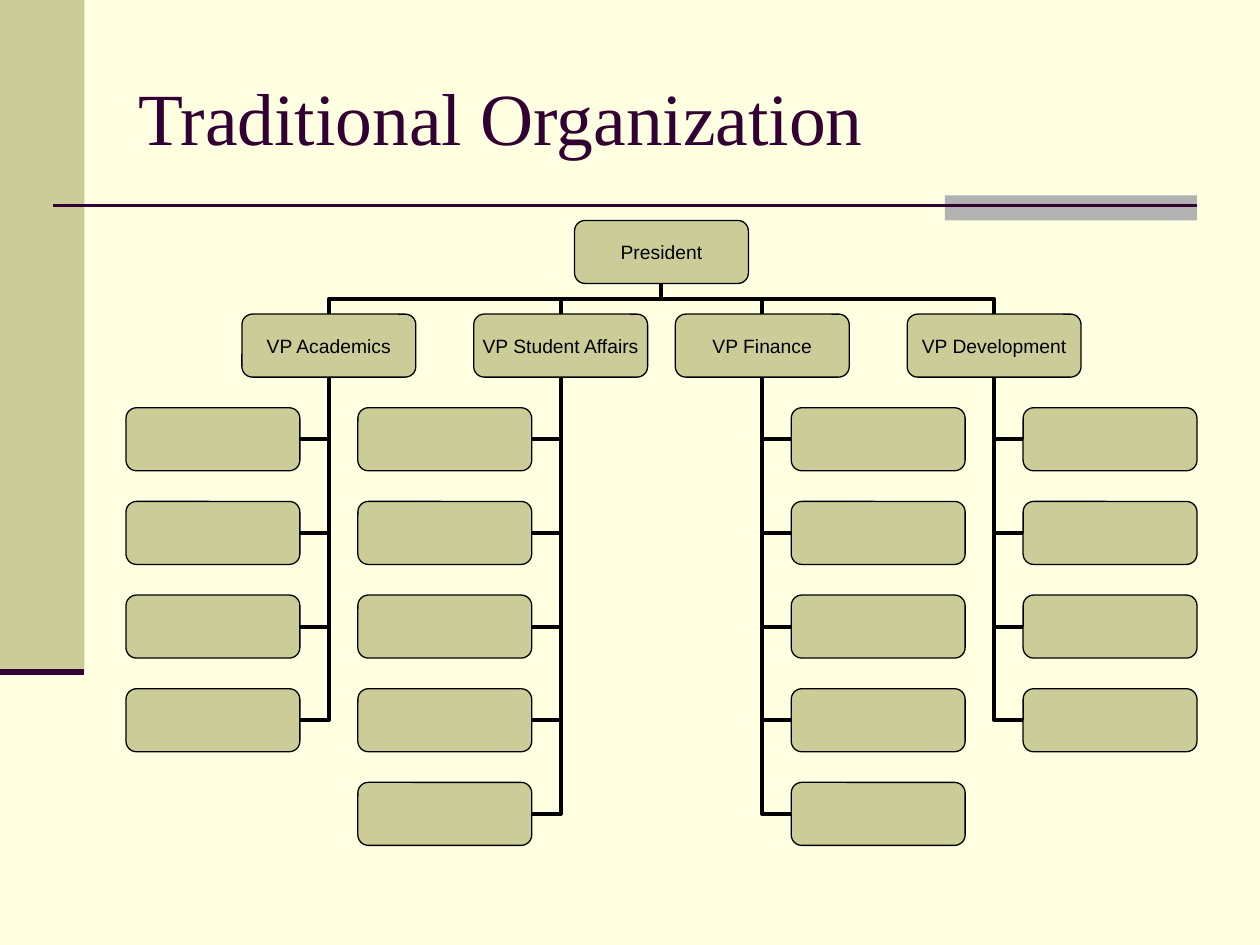
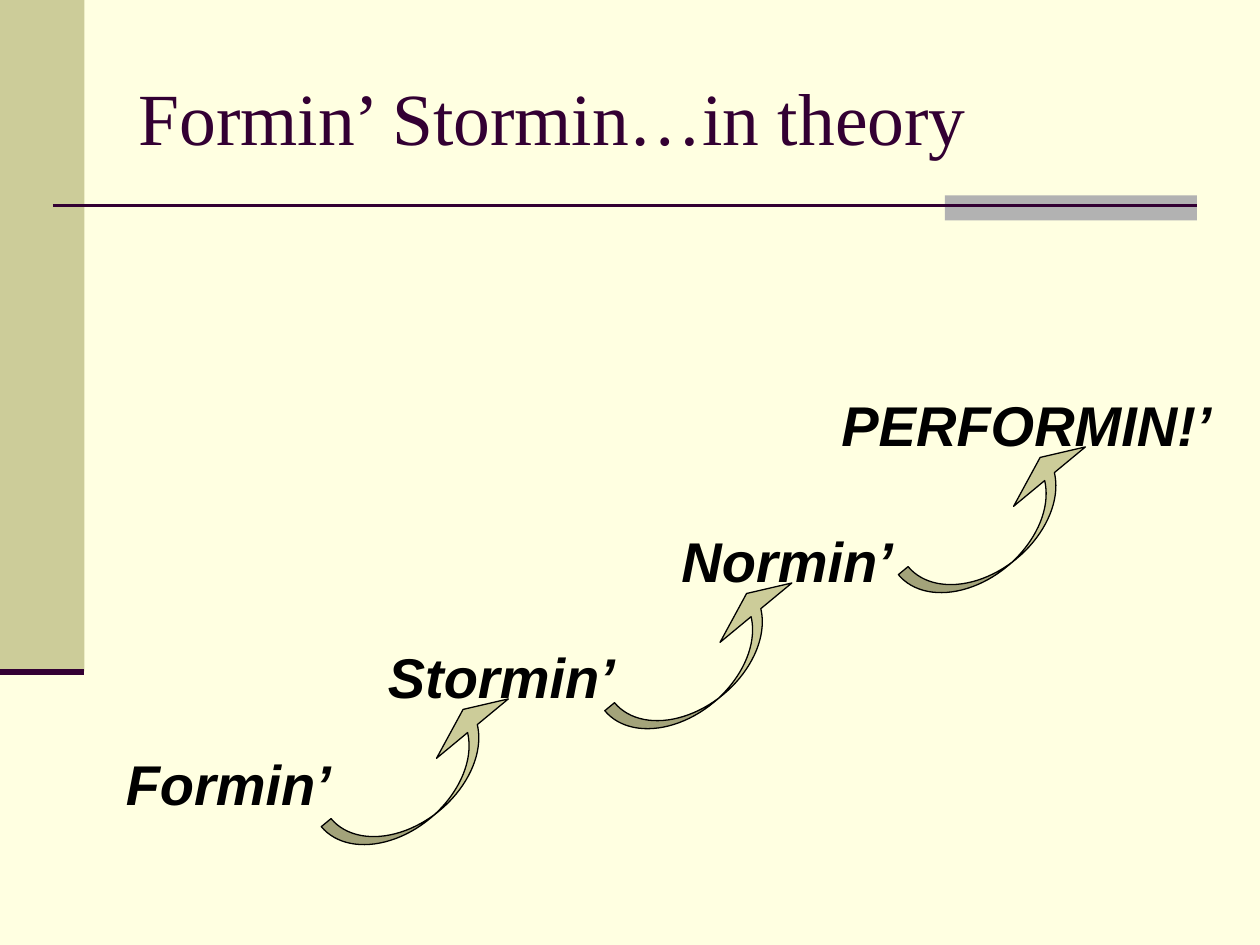
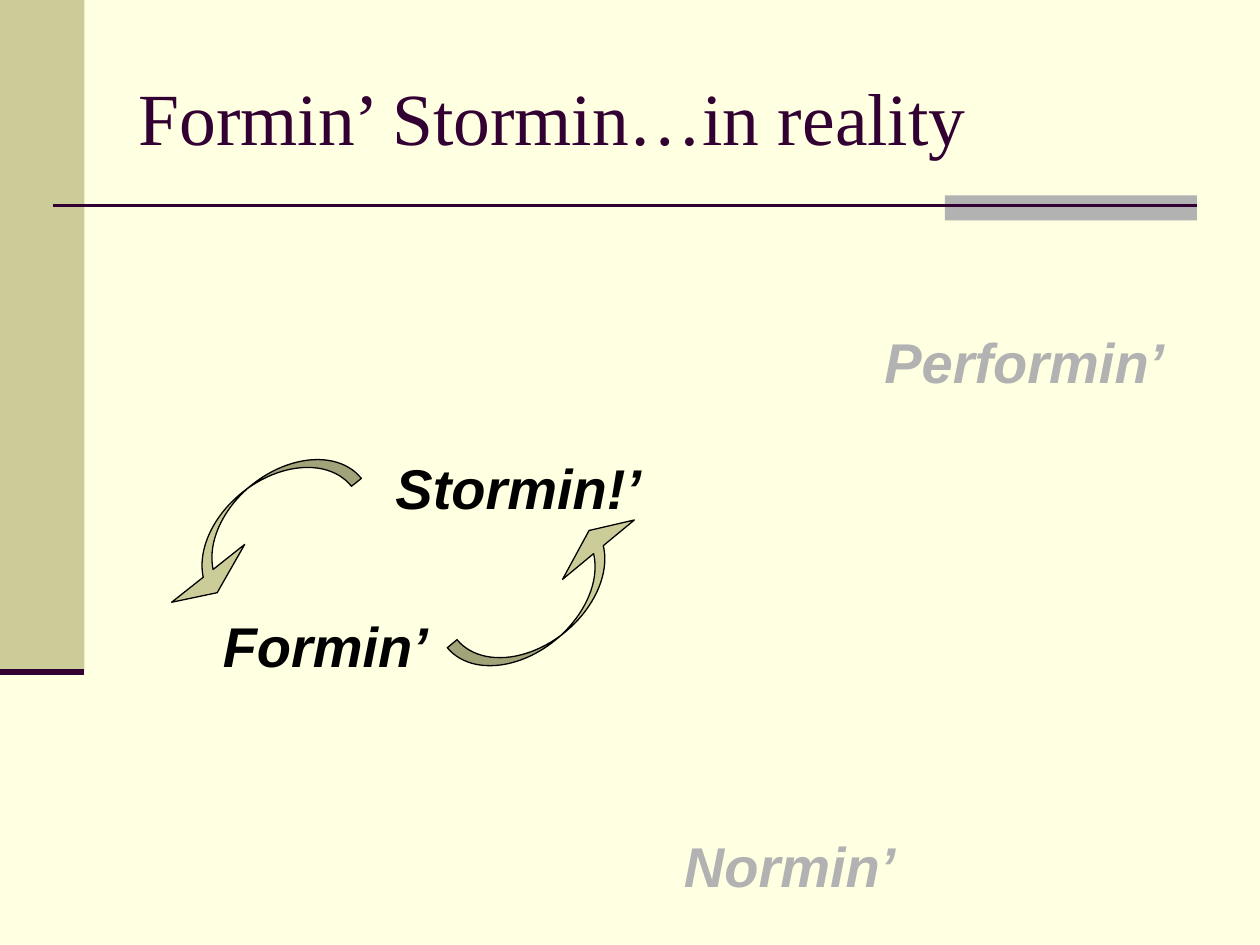
import pptx
import pptx.util
import pptx.oxml.ns
from lxml import etree
from pptx.dml.color import RGBColor
from pptx.enum.shapes import MSO_CONNECTOR, MSO_SHAPE
from pptx.enum.text import MSO_ANCHOR, PP_ALIGN
from pptx.util import Inches

CREAM = RGBColor(0xFF, 0xFF, 0xE1)
KHAKI = RGBColor(0xCC, 0xCC, 0x99)
GRAY = RGBColor(0xB2, 0xB2, 0xB2)
PLUM = RGBColor(0x33, 0x00, 0x33)
BLACK = RGBColor(0x00, 0x00, 0x00)

TITLE_FONT = "Times New Roman"
BODY_FONT = "Arial"
TITLE_ONLY = 5

BOX_WIDTH = 1.38
BOX_HEIGHT = 0.5
CHART_TOP = 1.75
ROW_PITCH = (6.21 - CHART_TOP) / 6
STAFF_OFFSET = 0.92
TOP, LEFT, BOTTOM, RIGHT = range(4)

DIVISIONS = [
    ("VP Academics", 1.92, 4, LEFT),
    ("VP Student Affairs", 3.76, 5, LEFT),
    ("VP Finance", 5.36, 5, RIGHT),
    ("VP Development", 7.2, 4, RIGHT),
]
THEORY_STAGES = [
    ("Formin’", 0.9, 5.85, BLACK),
    ("Stormin’", 2.98, 5, BLACK),
    ("Normin’", 5.31, 4.08, BLACK),
    ("PERFORMIN!’", 6.58, 3, BLACK),
]
THEORY_ARROWS = [(2.5, 5.92, 320.4), (4.75, 5, 320.4), (7.08, 3.92, 320.4)]
REALITY_STAGES = [
    ("Formin’", 1.67, 4.75, BLACK),
    ("Stormin!’", 3.04, 3.5, BLACK),
    ("Normin’", 5.33, 6.5, GRAY),
    ("Performin’", 6.92, 2.5, GRAY),
]
REALITY_ARROWS = [(3.5, 4.5, 320.4), (1.08, 3.92, 141.6)]


def format_text(text_frame, font_name, size, color):
    for paragraph in text_frame.paragraphs:
        for run in paragraph.runs:
            run.font.name = font_name
            run.font.size = pptx.util.Pt(size)
            run.font.color.rgb = color


def add_filled_shape(slide, kind, left, top, width, height, fill, outlined=True):
    shape = slide.shapes.add_shape(
        kind, Inches(left), Inches(top), Inches(width), Inches(height))
    shape.shadow.inherit = False
    shape.fill.solid()
    shape.fill.fore_color.rgb = fill
    if outlined:
        shape.line.color.rgb = BLACK
        shape.line.width = pptx.util.Pt(0.75)
    else:
        shape.line.fill.background()
    return shape


def add_line(slide, kind, start, end, color, width):
    connector = slide.shapes.add_connector(
        kind, *[Inches(value) for value in start + end])
    connector.line.color.rgb = color
    connector.line.width = pptx.util.Pt(width)
    etree.SubElement(connector.element.spPr, pptx.oxml.ns.qn("a:effectLst"))
    return connector


def move_to_layout(shapes, layout):
    for index, shape in enumerate(shapes):
        shape.element.xpath(".//p:cNvPr")[0].set("id", str(100 + index))
        layout.shapes.element.insert(2 + index, shape.element)


def build_layout(slide):
    layout = slide.slide_layout
    background = layout.slide_master.background.fill
    background.solid()
    background.fore_color.rgb = CREAM
    move_to_layout([
        add_filled_shape(slide, MSO_SHAPE.RECTANGLE, 0, 0, 0.67, 5.33, KHAKI, False),
        add_filled_shape(slide, MSO_SHAPE.RECTANGLE, 7.5, 1.55, 2, 0.2, GRAY, False),
        add_line(slide, MSO_CONNECTOR.STRAIGHT, (0.42, 1.63), (9.5, 1.63), PLUM, 1.5),
        add_line(slide, MSO_CONNECTOR.STRAIGHT, (0, 5.33), (0.67, 5.33), PLUM, 3.5),
    ], layout)


def add_titled_slide(presentation, text):
    slide = presentation.slides.add_slide(presentation.slide_layouts[TITLE_ONLY])
    title = slide.shapes.title
    title.left, title.top = Inches(1), Inches(0.3)
    title.width, title.height = Inches(8.5), Inches(1.25)
    title.text_frame.text = text
    title.text_frame.vertical_anchor = MSO_ANCHOR.MIDDLE
    title.text_frame.paragraphs[0].alignment = PP_ALIGN.LEFT
    format_text(title.text_frame, TITLE_FONT, 42, PLUM)
    return slide


def add_box(slide, left, row, text=""):
    box = add_filled_shape(slide, MSO_SHAPE.ROUNDED_RECTANGLE, left,
                           CHART_TOP + row * ROW_PITCH, BOX_WIDTH, BOX_HEIGHT, KHAKI)
    if text:
        text_frame = box.text_frame
        text_frame.text = text
        text_frame.word_wrap = False
        text_frame.vertical_anchor = MSO_ANCHOR.MIDDLE
        text_frame.margin_left = text_frame.margin_right = 0
        text_frame.margin_top = text_frame.margin_bottom = 0
        text_frame.paragraphs[0].alignment = PP_ALIGN.CENTER
        format_text(text_frame, BODY_FONT, 11, BLACK)
    return box


def join_boxes(slide, lower, lower_side, upper):
    connector = add_line(slide, MSO_CONNECTOR.ELBOW, (0, 0), (1, 1), BLACK, 2.25)
    connector.begin_connect(lower, lower_side)
    connector.end_connect(upper, BOTTOM)
    return connector


def join_staff(slide, staff, side, manager):
    connector = join_boxes(slide, staff, side, manager)
    connector.element.spPr.prstGeom.set("prst", "bentConnector2")


def join_manager(slide, manager, president):
    connector = join_boxes(slide, manager, TOP, president)
    center_x = connector.left + connector.width // 2
    center_y = connector.top + connector.height // 2
    connector.width, connector.height = connector.height, connector.width
    connector.left = center_x - connector.width // 2
    connector.top = center_y - connector.height // 2
    transform = connector.element.spPr.xfrm
    transform.set("rot", str(270 * 60000))
    transform.set("flipH", "0")
    transform.set("flipV", "1" if manager.left > president.left else "0")


def add_organization(slide):
    president = add_box(slide, 4.56, 0, "President")
    for name, left, staff_count, side in DIVISIONS:
        manager = add_box(slide, left, 1, name)
        join_manager(slide, manager, president)
        offset, inner_side = (-STAFF_OFFSET, RIGHT) if side == LEFT else (STAFF_OFFSET, LEFT)
        for row in range(2, 2 + staff_count):
            staff = add_box(slide, left + offset, row)
            join_staff(slide, staff, inner_side, manager)


def add_stage(slide, text, left, top, color):
    width = 3.46 if text.isupper() else 3.08
    label = slide.shapes.add_textbox(
        Inches(left), Inches(top), Inches(width), Inches(0.64))
    text_frame = label.text_frame
    text_frame.word_wrap = True
    text_frame.margin_top = Inches(0.1)
    text_frame.text = text
    format_text(text_frame, BODY_FONT, 32, color)
    font = text_frame.paragraphs[0].runs[0].font
    font.bold = font.italic = True


def add_swoosh(slide, left, top, rotation):
    arrow = add_filled_shape(
        slide, MSO_SHAPE.CURVED_UP_ARROW, left, top, 1.83, 0.5, KHAKI)
    for index, value in enumerate((0.2, 1.48, 0.33)):
        arrow.adjustments[index] = value
    arrow.rotation = rotation


def add_stages(slide, stages, arrows):
    for stage in stages:
        add_stage(slide, *stage)
    for arrow in arrows:
        add_swoosh(slide, *arrow)


def main():
    presentation = pptx.Presentation()
    presentation.slide_width = Inches(10)
    presentation.slide_height = Inches(7.5)

    organization = add_titled_slide(presentation, "Traditional Organization")
    build_layout(organization)
    add_organization(organization)

    theory = add_titled_slide(presentation, "Formin’ Stormin…in theory")
    add_stages(theory, THEORY_STAGES, THEORY_ARROWS)

    reality = add_titled_slide(presentation, "Formin’ Stormin…in reality")
    add_stages(reality, REALITY_STAGES, REALITY_ARROWS)

    presentation.save("out.pptx")


if __name__ == "__main__":
    main()
